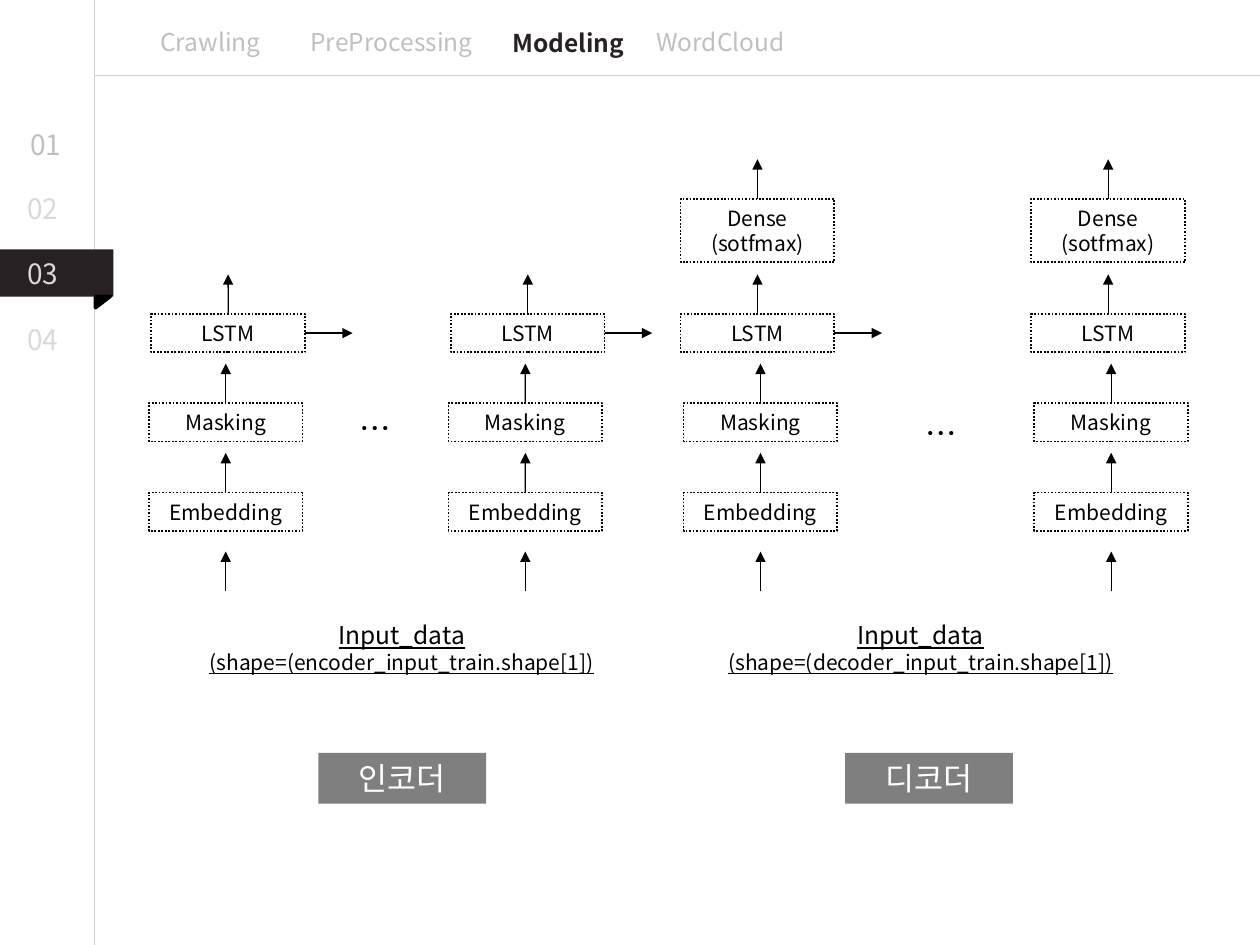
from lxml import etree
from pptx import Presentation
from pptx.dml.color import RGBColor
from pptx.enum.dml import MSO_LINE
from pptx.enum.shapes import MSO_CONNECTOR, MSO_SHAPE
from pptx.enum.text import MSO_ANCHOR, PP_ALIGN
from pptx.oxml.ns import qn
from pptx.util import Cm, Pt

RECTANGLE, TRIANGLE = MSO_SHAPE.RECTANGLE, MSO_SHAPE.RIGHT_TRIANGLE
STRAIGHT, DOTTED = MSO_CONNECTOR.STRAIGHT, MSO_LINE.ROUND_DOT
LEFT, CENTER = PP_ALIGN.LEFT, PP_ALIGN.CENTER
TOP, MIDDLE = MSO_ANCHOR.TOP, MSO_ANCHOR.MIDDLE
TOP_SIDE, RIGHT_SIDE = 0, 3

FONT = "Noto Sans CJK KR"
BLACK = RGBColor(0x00, 0x00, 0x00)
WHITE = RGBColor(0xFF, 0xFF, 0xFF)
INK = RGBColor(0x27, 0x21, 0x23)
RULE_GRAY = RGBColor(0xD2, 0xD2, 0xD2)
TAB_GRAY = RGBColor(0xBF, 0xBF, 0xBF)
NUMBER_GRAY = RGBColor(0xD9, 0xD9, 0xD9)

deck = Presentation()
deck.slide_width, deck.slide_height = Cm(25.4), Cm(19.05)
page = deck.slides.add_slide(deck.slide_layouts[6])


def add_box(place, lines=(), shape_kind=None, fill=None, align=CENTER, **formats):
    """Add a preset shape, or a text box without shape_kind; lines are (text, size)."""
    place = [Cm(length) for length in place]
    if shape_kind is None:
        box = page.shapes.add_textbox(*place)
    else:
        box = page.shapes.add_shape(shape_kind, *place)
        box.shadow.inherit = False
        box.fill.solid()
        box.fill.fore_color.rgb = fill
        box.line.fill.background()
    frame = box.text_frame
    frame.word_wrap = True
    frame.vertical_anchor = TOP if shape_kind is None else MIDDLE
    color = formats.pop("color", BLACK)
    for index, (text, size) in enumerate(lines):
        para = frame.paragraphs[0] if index == 0 else frame.add_paragraph()
        para.alignment = align
        span = para.add_run()
        span.text = text
        span.font.color.rgb = color
        for name, value in {"name": FONT, "size": Pt(size), **formats}.items():
            setattr(span.font, name, value)
        east_asian = etree.SubElement(span.font._element, qn("a:ea"))
        east_asian.set("typeface", FONT)
    return box


def add_line(start, end, color=BLACK, arrow=True):
    line = page.shapes.add_connector(STRAIGHT, *[Cm(length) for length in (*start, *end)])
    line.line.color.rgb = color
    line.line.width = Pt(0.75)
    if arrow:
        etree.SubElement(line.line._get_or_add_ln(), qn("a:tailEnd"), type="triangle")
    etree.SubElement(line._element.spPr, qn("a:effectLst"))
    return line


# Frame lines and the ribbon of the current chapter
add_line((1.9, 0), (1.9, 19.05), RULE_GRAY, arrow=False)
add_line((1.9, 1.52), (25.4, 1.52), RULE_GRAY, arrow=False)
add_box((0, 5.03, 2.29, 0.95), shape_kind=RECTANGLE, fill=INK)
fold = add_box((1.96, 5.94, 0.23, 0.3), shape_kind=TRIANGLE, fill=BLACK)
fold.rotation = 90
fold.line.color.rgb = BLACK
fold.line.width = Pt(2)

# Chapter numbers
for number, left, top, color in [
    ("01", 0.36, 2.44, TAB_GRAY),
    ("02", 0.3, 3.73, NUMBER_GRAY),
    ("03", 0.3, 5.05, NUMBER_GRAY),
    ("04", 0.3, 6.38, NUMBER_GRAY),
]:
    add_box((left, top, 1.4, 0.94), [(number, 16)], align=LEFT, color=color)

# Section tabs
for tab, left, width in [
    ("Crawling", 2.9, 2.69),
    ("PreProcessing", 5.28, 5.23),
    ("Modeling", 9.83, 3.25),
    ("WordCloud", 12.9, 3.25),
]:
    current = tab == "Modeling"
    add_box((left, 0.45 if current else 0.43, width, 0.86), [(tab, 14)],
            color=INK if current else TAB_GRAY, bold=current)

# Network columns: layers stacked from the input upwards
BOX_WIDTH, BOX_HEIGHT, ARROW_LENGTH = 3.1, 0.77, 0.8
LAYERS = [("Embedding", 9.93), ("Masking", 8.13), ("LSTM", 6.33)]
DENSE_TOP, DENSE_HEIGHT = 4.01, 1.28
for column_left, shift, has_dense, has_next in [
    (3, 0.05, False, True),
    (9.04, 0.05, False, True),
    (13.78, -0.06, True, True),
    (20.85, -0.06, True, False),
]:
    center = column_left + BOX_WIDTH / 2
    add_line((center, 11.92), (center, 11.92 - ARROW_LENGTH))
    stack = [(column_left + (shift if name == "LSTM" else 0), top, BOX_HEIGHT, [name])
             for name, top in LAYERS]
    if has_dense:
        stack.append((column_left + shift, DENSE_TOP, DENSE_HEIGHT, ["Dense", "(sotfmax)"]))
    for left, top, height, words in stack:
        layer = add_box((left, top, BOX_WIDTH, height), [(word, 12) for word in words],
                        RECTANGLE, WHITE)
        layer.line.color.rgb = BLACK
        layer.line.width = Pt(1)
        layer.line.dash_style = DOTTED
        center = left + BOX_WIDTH / 2
        up = add_line((center, top), (center, top - ARROW_LENGTH))
        up.begin_connect(layer, TOP_SIDE)
        if words == ["LSTM"] and has_next:
            right, middle = left + BOX_WIDTH, top + height / 2
            onward = add_line((right, middle), (right + 0.96, middle))
            onward.begin_connect(layer, RIGHT_SIDE)

# Captions, gaps and labels of the two halves
for coder, label, caption_left, dots_left, dots_top, label_left in [
    ("encoder", "인코더", 3.1, 6.78, 8.13, 6.42),
    ("decoder", "디코더", 13.56, 18.19, 8.23, 17.04),
]:
    add_box((dots_left, dots_top, 1.55, 1.02), [("…", 18)])
    add_box((caption_left, 12.37, 10, 1.37),
            [("Input_data", 14), (f"(shape=({coder}_input_train.shape[1])", 12)],
            underline=True)
    plate = add_box((label_left, 15.18, 3.38, 1.02), [(label, 18)], RECTANGLE, BLACK,
                    color=WHITE)
    fill_color = plate._element.spPr.find(qn("a:solidFill"))[0]
    etree.SubElement(fill_color, qn("a:alpha"), val="50000")

deck.save("out.pptx")
